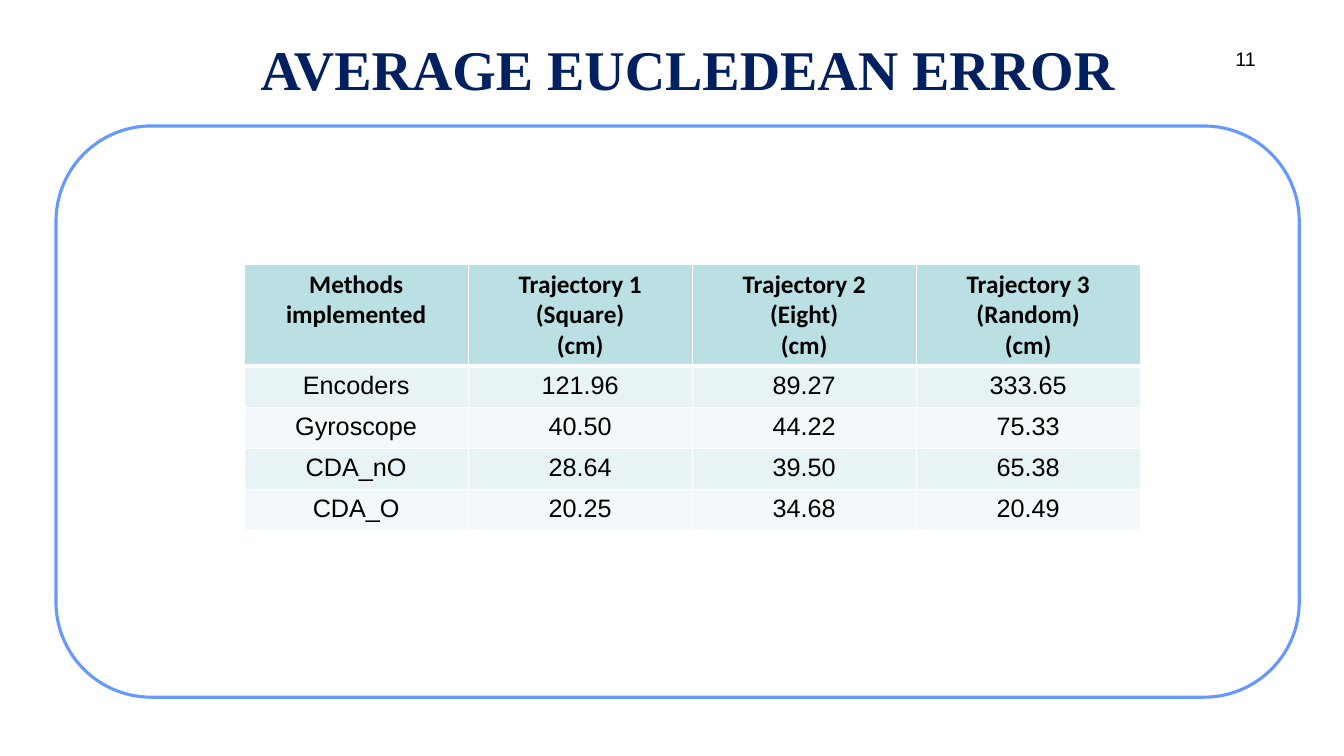
from lxml import etree
from pptx import Presentation
from pptx import util as u
from pptx.dml.color import RGBColor
from pptx.enum import shapes, text
from pptx.oxml import ns

WHITE = RGBColor(0xFF, 0xFF, 0xFF)
BLACK = RGBColor(0x00, 0x00, 0x00)
NAVY = RGBColor(0x00, 0x20, 0x60)
BLUE = RGBColor(0x66, 0x99, 0xFF)
TEAL = RGBColor(0xBB, 0xE0, 0xE3)
BANDS = (RGBColor(0xE7, 0xF3, 0xF4), RGBColor(0xF3, 0xF9, 0xFA))

COLUMNS, ROWS = 24, 18
HEADER_HEIGHT, BODY_HEIGHT = 2.43, 0.98

ERRORS = [
    ("Methods implemented", "Trajectory 1\n(Square)\n(cm)",
     "Trajectory 2\n(Eight)\n(cm)", "Trajectory 3\n(Random)\n(cm)"),
    ("Encoders", "121.96", "89.27", "333.65"),
    ("Gyroscope", "40.50", "44.22", "75.33"),
    ("CDA_nO", "28.64", "39.50", "65.38"),
    ("CDA_O", "20.25", "34.68", "20.49"),
]


class ErrorSlide:
    def __init__(self, deck):
        self.slide = deck.slides.add_slide(deck.slide_layouts[6])
        self.column = deck.slide_width / COLUMNS
        self.row = deck.slide_height / ROWS

    def place(self, left, top, width, height):
        return (u.Emu(round(left * self.column)), u.Emu(round(top * self.row)),
                u.Emu(round(width * self.column)), u.Emu(round(height * self.row)))

    def set_text(self, frame, wording, size, font, color, align, bold=False):
        frame.text = wording
        for paragraph in frame.paragraphs:
            paragraph.alignment = align
            paragraph.font.size = u.Pt(size)
            paragraph.font.name = font
            paragraph.font.bold = bold
            paragraph.font.color.rgb = color

    def frame(self, *box):
        border = self.slide.shapes.add_shape(
            shapes.MSO_SHAPE.ROUNDED_RECTANGLE, *self.place(*box))
        border.shadow.inherit = False
        border.fill.solid()
        border.fill.fore_color.rgb = WHITE
        border.line.color.rgb = BLUE
        border.line.width = u.Pt(2.25)

    def label(self, box, anchor, *style, **options):
        caption = self.slide.shapes.add_textbox(*self.place(*box)).text_frame
        caption.word_wrap = True
        caption.vertical_anchor = anchor
        self.set_text(caption, *style, **options)

    def edge(self, cell, side, points):
        properties = cell._tc.get_or_add_tcPr()
        line = etree.SubElement(properties, ns.qn("a:ln" + side), w=str(u.Pt(points)))
        fill = etree.SubElement(line, ns.qn("a:solidFill"))
        etree.SubElement(fill, ns.qn("a:srgbClr"), val=str(WHITE))

    def table(self, left, top, column_width, records):
        heights = [HEADER_HEIGHT] + [BODY_HEIGHT] * (len(records) - 1)
        width = column_width * len(records[0])
        errors = self.slide.shapes.add_table(
            len(records), len(records[0]),
            *self.place(left, top, width, sum(heights))).table
        for r, record in enumerate(records):
            header = r == 0
            errors.rows[r].height = u.Emu(round(heights[r] * self.row))
            for c, wording in enumerate(record):
                cell = errors.cell(r, c)
                for side in "LRTB":
                    thick = (header and side == "B") or (r == 1 and side == "T")
                    self.edge(cell, side, 3 if thick else 1)
                cell.fill.solid()
                cell.fill.fore_color.rgb = TEAL if header else BANDS[(r - 1) % 2]
                self.set_text(cell.text_frame, wording, 18,
                              "Calibri" if header else "Arial", BLACK,
                              text.PP_ALIGN.CENTER, bold=header)


def main():
    deck = Presentation()
    deck.slide_width, deck.slide_height = u.Inches(13.33), u.Inches(7.5)
    page = ErrorSlide(deck)
    page.frame(1, 3, 22.2, 13.6)
    page.label((18.4, 1, 4.2, 1.25), text.MSO_ANCHOR.TOP,
               "11", 14, "Arial", BLACK, text.PP_ALIGN.RIGHT)
    page.table(4.36, 6.29, 4, ERRORS)
    page.label((2.56, 0.7, 19.44, 1.85), text.MSO_ANCHOR.MIDDLE,
               "AVERAGE EUCLEDEAN ERROR", 40, "Times New Roman", NAVY,
               text.PP_ALIGN.CENTER, bold=True)
    deck.save("out.pptx")


if __name__ == "__main__":
    main()
